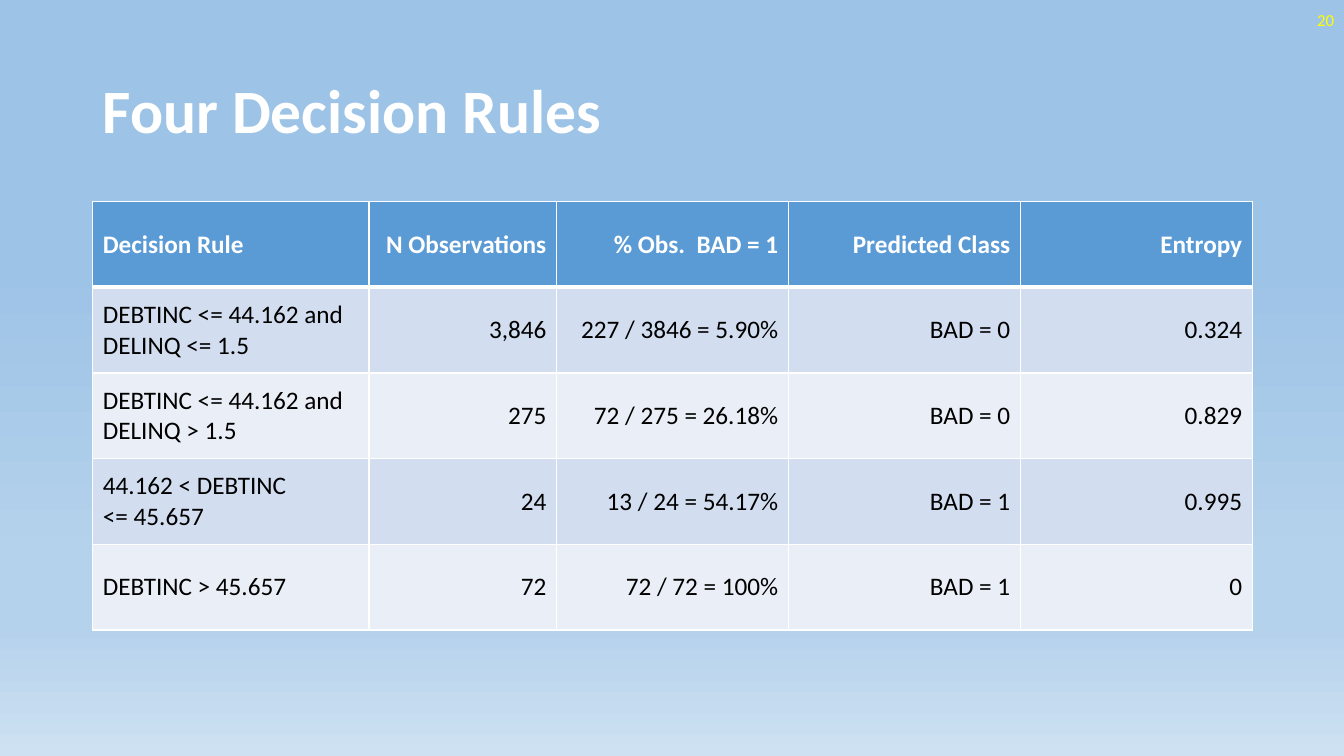
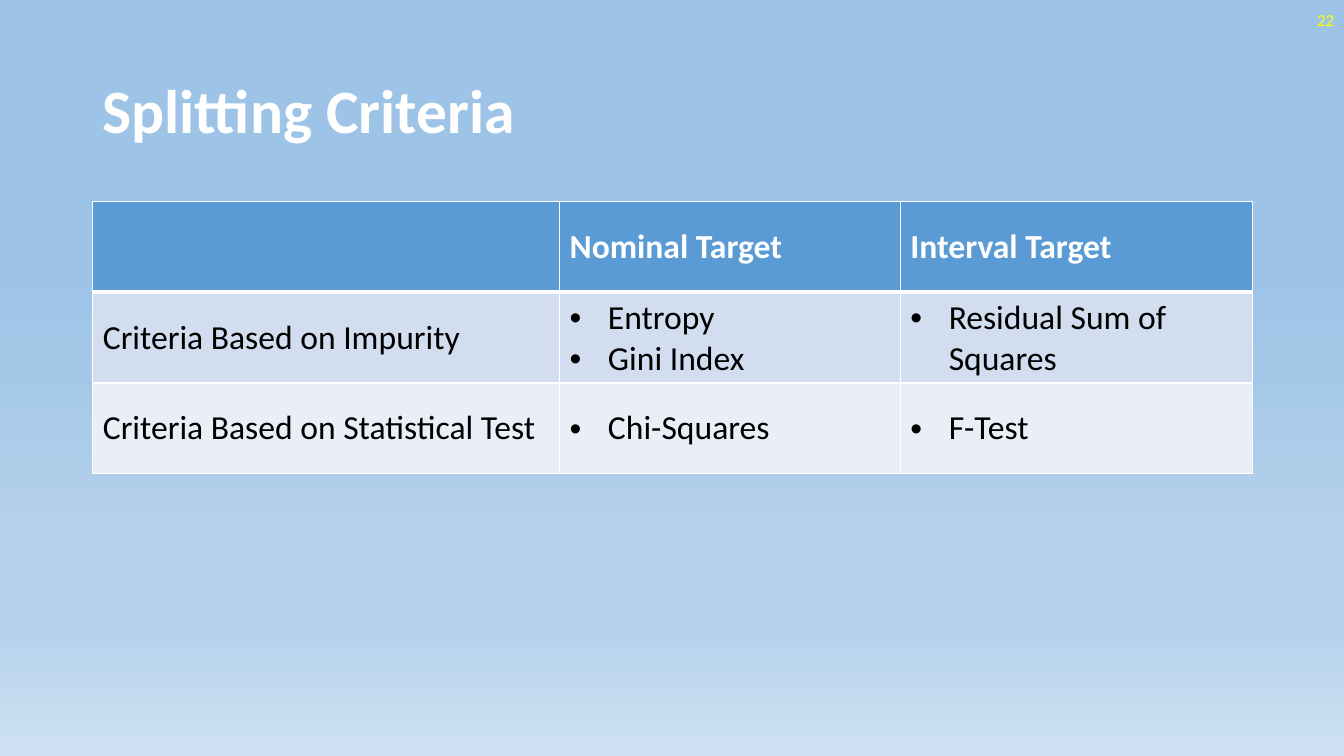
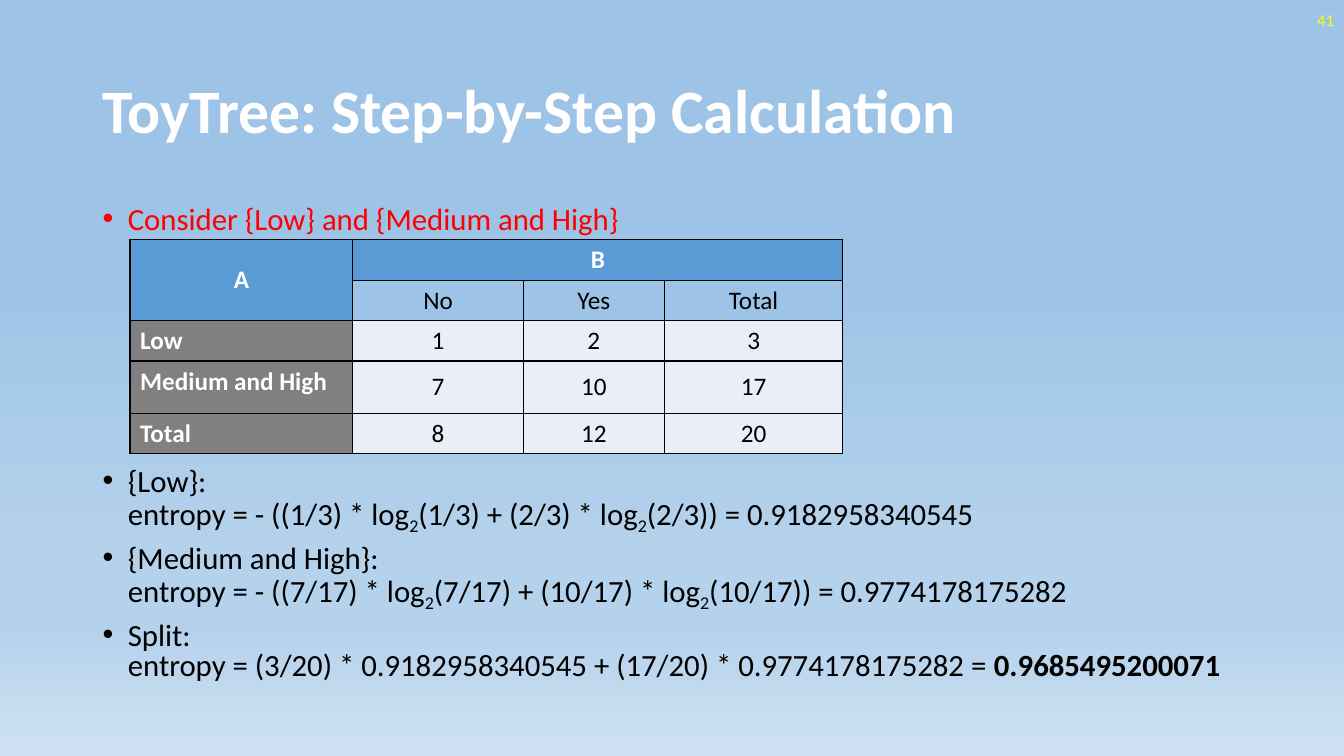
from lxml.etree import SubElement
from pptx import Presentation
from pptx.dml.color import RGBColor
from pptx.enum.text import MSO_ANCHOR, PP_ALIGN
from pptx.oxml.ns import qn
from pptx.util import Inches, Pt

FONT = "Calibri"
COLORS = {
    "white": "FFFFFF", "black": "000000", "red": "FF0000", "yellow": "FFFF00",
    "header": "5B9BD5", "band_dark": "D2DEEF", "band_light": "EAEFF7",
    "sky": "9DC3E6", "gray": "808080",
}
BACKGROUND_STOPS = [(35, "9DC3E6"), (74, "B5D2EC"), (83, "B5D2EC"), (100, "CEE1F2")]
LEFT, CONTENT_TOP, WIDTH = 0.92, 2, 11.5


def write(text_frame, paragraphs, size=18, color="black", bold=False,
          align=PP_ALIGN.LEFT, indent=0, line_spacing=None, space_before=0):
    """Fill a frame; a paragraph is a string or a list of (text, kind) runs."""
    text_frame.word_wrap = True
    for index, content in enumerate(paragraphs):
        paragraph = text_frame.paragraphs[0] if index == 0 else text_frame.add_paragraph()
        if indent:
            properties = paragraph._p.get_or_add_pPr()
            properties.set("marL", str(Inches(indent)))
            properties.set("indent", str(-Inches(indent)))
            SubElement(properties, qn("a:buFont"), typeface="Arial")
            SubElement(properties, qn("a:buChar"), char="•")
        paragraph.alignment = align
        if line_spacing:
            paragraph.line_spacing = line_spacing
        if index and space_before:
            paragraph.space_before = Pt(space_before)
        runs = [(content, "")] if isinstance(content, str) else content
        for text, kind in runs:
            for line_number, line in enumerate(text.split("\n")):
                if line_number:
                    paragraph.add_line_break()
                run = paragraph.add_run()
                run.text = line
                run.font.name = FONT
                run.font.size = Pt(size)
                run.font.bold = bold or kind == "bold"
                run.font.color.rgb = RGBColor.from_string(COLORS[color])
                if kind == "sub":
                    run.font._element.set("baseline", "-25000")


def add_grid(slide, left, top, widths, heights, rows, style, size, border, header_line=1):
    """Add a table; style(row, column) gives fill, anchor and text format."""
    table = slide.shapes.add_table(
        len(heights), len(widths), Inches(left), Inches(top),
        Inches(sum(widths)), Inches(sum(heights))).table
    for column, width in zip(table.columns, widths):
        column.width = Inches(width)
    for row, height in zip(table.rows, heights):
        row.height = Inches(height)
    for row, contents in enumerate(rows):
        for column, content in enumerate(contents):
            cell = table.cell(row, column)
            fill, anchor, text_format = style(row, column)
            cell.vertical_anchor = anchor
            properties = cell._tc.get_or_add_tcPr()
            for side in "LRTB":
                under_header = (row, side) in [(0, "B"), (1, "T")]
                line = SubElement(properties, qn(f"a:ln{side}"),
                                  w=str(Pt(header_line if under_header else 1)))
                SubElement(SubElement(line, qn("a:solidFill")), qn("a:srgbClr"),
                           val=COLORS[border])
            cell.fill.solid()
            cell.fill.fore_color.rgb = RGBColor.from_string(COLORS[fill])
            if content:
                paragraphs = content if isinstance(content, list) else [content]
                write(cell.text_frame, paragraphs, size=size, **text_format)
    return table


presentation = Presentation()
presentation.slide_width = Inches(13.33)
presentation.slide_height = Inches(7.5)

# Shared gradient background on the master
master = presentation.slide_master
background_fill = master.background.fill
background_fill.gradient()
background_fill.gradient_angle = 270
stops = master.element.find(".//" + qn("a:gsLst"))
for stop in list(stops):
    stops.remove(stop)
for position, value in BACKGROUND_STOPS:
    stop = SubElement(stops, qn("a:gs"), pos=str(position * 1000))
    SubElement(stop, qn("a:srgbClr"), val=value)

# Slides with title and page number
slides = []
for title, number in [("Four Decision Rules", "20"), ("Splitting Criteria", "22"),
                      ("ToyTree: Step-by-Step Calculation", "41")]:
    slide = presentation.slides.add_slide(presentation.slide_layouts[6])
    title_box = slide.shapes.add_textbox(
        Inches(LEFT), Inches(0.4), Inches(WIDTH), Inches(1.45))
    write(title_box.text_frame, [title], size=44, color="white", bold=True, line_spacing=0.9)
    number_box = slide.shapes.add_textbox(Inches(10.33), 0, Inches(3), Inches(0.4))
    write(number_box.text_frame, [number], size=12, color="yellow", align=PP_ALIGN.RIGHT)
    for box in (title_box, number_box):
        box.text_frame.vertical_anchor = MSO_ANCHOR.MIDDLE
    slides.append(slide)
rules_slide, criteria_slide, calculation_slide = slides

HEADER_TEXT = {"color": "white", "bold": True}
BAND_FILLS = ["band_light", "band_dark"]

# Decision rules: numbers aligned right
rules = [
    ["Decision Rule", "N Observations", "% Obs.  BAD = 1", "Predicted Class", "Entropy"],
    ["DEBTINC <= 44.162 and DELINQ <= 1.5", "3,846", "227 / 3846 = 5.90%", "BAD = 0", "0.324"],
    ["DEBTINC <= 44.162 and DELINQ > 1.5", "275", "72 / 275 = 26.18%", "BAD = 0", "0.829"],
    [["44.162 < DEBTINC", "<= 45.657"], "24", "13 / 24 = 54.17%", "BAD = 1", "0.995"],
    ["DEBTINC > 45.657", "72", "72 / 72 = 100%", "BAD = 1", "0"],
]
add_grid(
    rules_slide, LEFT, CONTENT_TOP, [2.74, 1.86, 2.3, 2.3, 2.3], [0.85] * 5, rules,
    lambda row, column: (
        BAND_FILLS[row % 2] if row else "header", MSO_ANCHOR.MIDDLE,
        {"align": PP_ALIGN.RIGHT if column else PP_ALIGN.LEFT,
         **({} if row else HEADER_TEXT)}),
    size=18, border="white", header_line=3)

# Splitting criteria: bulleted entries
criteria = [
    ["", "Nominal Target", "Interval Target"],
    ["Criteria Based on Impurity", ["Entropy", "Gini Index"], "Residual Sum of Squares"],
    ["Criteria Based on Statistical Test", "Chi-Squares", "F-Test"],
]
add_grid(
    criteria_slide, LEFT, CONTENT_TOP, [4.63, 3.38, 3.49], [0.9] * 3, criteria,
    lambda row, column: (
        BAND_FILLS[row % 2] if row else "header", MSO_ANCHOR.MIDDLE,
        {"indent": 0.38 if column else 0} if row else HEADER_TEXT),
    size=24, border="white", header_line=3)

# Entropy calculation: bullets above and below the table
split_note = ["Consider {Low} and {Medium and High}"]
entropy_steps = [
    [("{Low}:\nentropy = - ((1/3) * log", ""), ("2", "sub"), ("(1/3) + (2/3) * log", ""),
     ("2", "sub"), ("(2/3)) = 0.9182958340545", "")],
    [("{Medium and High}:\nentropy = - ((7/17) * log", ""), ("2", "sub"),
     ("(7/17) + (10/17) * log", ""), ("2", "sub"), ("(10/17)) = 0.9774178175282", "")],
    [("Split:\nentropy = (3/20) * 0.9182958340545 + (17/20) * 0.9774178175282 = ", ""),
     ("0.9685495200071", "bold")],
]
for top, height, paragraphs, color in [(CONTENT_TOP, 0.4, split_note, "red"),
                                       (4.6, 2.16, entropy_steps, "black")]:
    box = calculation_slide.shapes.add_textbox(
        Inches(LEFT), Inches(top), Inches(WIDTH), Inches(height))
    write(box.text_frame, paragraphs, size=22, color=color, indent=0.25,
          line_spacing=0.8, space_before=10)

# Cross table of A and B
counts = [
    ["A", "B", "", ""],
    ["", "No", "Yes", "Total"],
    ["Low", "1", "2", "3"],
    ["Medium and High", "7", "10", "17"],
    ["Total", "8", "12", "20"],
]
centered = {"align": PP_ALIGN.CENTER}
count_styles = {
    "corner": ("header", MSO_ANCHOR.MIDDLE, {**HEADER_TEXT, **centered}),
    "header": ("header", MSO_ANCHOR.TOP, {**HEADER_TEXT, **centered}),
    "subheader": ("sky", MSO_ANCHOR.TOP, centered),
    "label": ("gray", MSO_ANCHOR.TOP, HEADER_TEXT),
    "count": ("band_light", MSO_ANCHOR.MIDDLE, centered),
}
count_layout = [["corner"] + ["header"] * 3, ["corner"] + ["subheader"] * 3]
count_layout += [["label"] + ["count"] * 3] * 3
count_table = add_grid(
    calculation_slide, 1.29, 2.38, [2.21, 1.69, 1.4, 1.77], [0.37, 0.37, 0.37, 0.52, 0.37],
    counts, lambda row, column: count_styles[count_layout[row][column]],
    size=18, border="black")
count_table.cell(0, 0).merge(count_table.cell(1, 0))
count_table.cell(0, 1).merge(count_table.cell(0, 3))

presentation.save("out.pptx")
